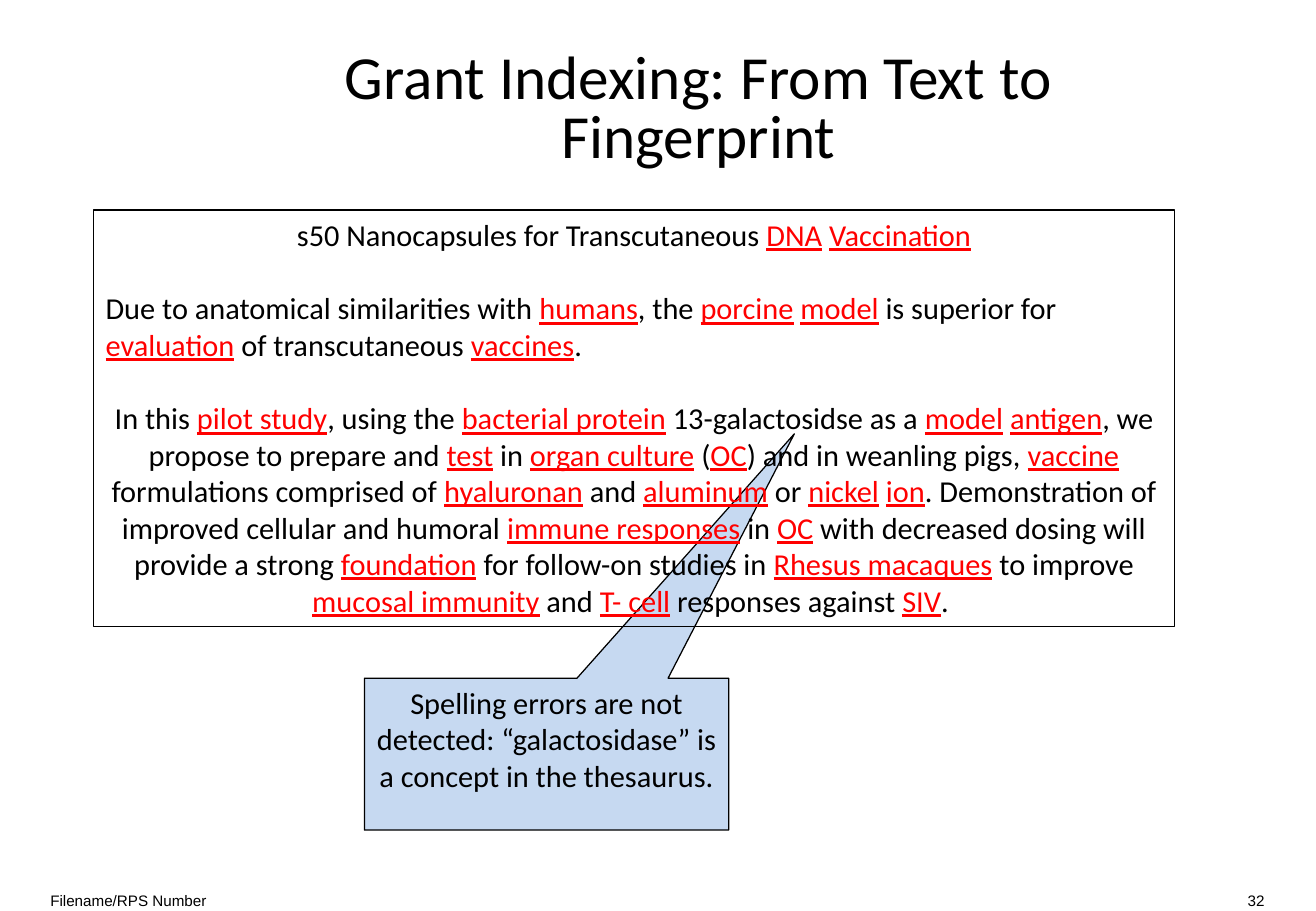
from dataclasses import dataclass

from pptx import Presentation
from pptx.dml.color import RGBColor
from pptx.enum.shapes import MSO_SHAPE as Shape
from pptx.enum.text import MSO_ANCHOR as Anchor, MSO_AUTO_SIZE as AutoSize, PP_ALIGN as Align
from pptx.util import Pt

BLACK, RED, LIGHT_BLUE = "000000", "FF0000", "C6D9F1"
PARAGRAPH_GAP = 22


@dataclass
class Box:
    left: float
    top: float
    width: float
    height: float

    def lengths(self):
        return Pt(self.left), Pt(self.top), Pt(self.width), Pt(self.height)


@dataclass
class Passage:
    text: str  # indexed concepts stand in square brackets
    align: Align = Align.CENTER


@dataclass
class FooterItem:
    text: str
    box: Box
    align: Align


TITLE = "Grant Indexing: From Text to Fingerprint"
ABSTRACT = [
    Passage("s50 Nanocapsules for Transcutaneous [DNA] [Vaccination]"),
    Passage("Due to anatomical similarities with [humans], the [porcine] [model] is "
            "superior for [evaluation] of transcutaneous [vaccines].", Align.LEFT),
    Passage("In this [pilot study], using the [bacterial protein] 13-galactosidse as a "
            "[model] [antigen], we propose to prepare and [test] in [organ culture] ([OC]) "
            "and in weanling pigs, [vaccine] formulations comprised of [hyaluronan] and "
            "[aluminum] or [nickel] [ion]. Demonstration of improved cellular and humoral "
            "[immune responses] in [OC] with decreased dosing will provide a strong "
            "[foundation] for follow-on studies in [Rhesus macaques] to improve "
            "[mucosal immunity] and [T- cell] responses against [SIV]. "),
]
CALLOUT = Passage("Spelling errors are not detected: “galactosidase” is a concept in the thesaurus.")
FOOTER = [
    FooterItem("Filename/RPS Number", Box(29.8, 528.5, 110, 11), Align.LEFT),
    FooterItem("32", Box(719.5, 528.5, 30, 11), Align.RIGHT),
]


def color(value: str) -> RGBColor:
    return RGBColor.from_string(value)


def format_paragraph(paragraph, align: Align, size: float, name: str = "Calibri") -> None:
    paragraph.alignment = align
    paragraph.font.size = Pt(size)
    paragraph.font.name = name
    paragraph.font.color.rgb = color(BLACK)


def add_panel(slide, kind: Shape, box: Box, fill: str | None = None):
    shape = slide.shapes.add_shape(kind, *box.lengths())
    shape.shadow.inherit = False
    if fill:
        shape.fill.solid()
        shape.fill.fore_color.rgb = color(fill)
    else:
        shape.fill.background()
    shape.line.color.rgb = color(BLACK)
    shape.line.width = Pt(0.75)
    shape.text_frame.word_wrap = True
    shape.text_frame.vertical_anchor = Anchor.TOP
    return shape


def write_passages(frame, passages: list[Passage]) -> None:
    for index, passage in enumerate(passages):
        paragraph = frame.add_paragraph() if index else frame.paragraphs[0]
        format_paragraph(paragraph, passage.align, 18)
        paragraph.space_before = Pt(PARAGRAPH_GAP if index else 0)
        # Every second piece is a concept
        pieces = passage.text.replace("]", "[").split("[")
        for position, piece in enumerate(pieces):
            run = paragraph.add_run()
            run.text = piece
            is_concept = position % 2 == 1
            run.font.color.rgb = color(RED if is_concept else BLACK)
            if is_concept:
                run.font.underline = True


def add_title(slide) -> None:
    title = slide.shapes.title
    title.left, title.top, title.width, title.height = Box(144, 24, 540, 84).lengths()
    frame = title.text_frame
    frame.text = TITLE
    frame.auto_size = AutoSize.NONE
    frame.vertical_anchor = Anchor.MIDDLE
    format_paragraph(frame.paragraphs[0], Align.CENTER, 36.3)
    frame.paragraphs[0].line_spacing = 0.8


def add_footer_item(slide, item: FooterItem) -> None:
    frame = slide.shapes.add_textbox(*item.box.lengths()).text_frame
    frame.word_wrap = True
    frame.margin_left = frame.margin_right = frame.margin_top = frame.margin_bottom = 0
    frame.text = item.text
    format_paragraph(frame.paragraphs[0], item.align, 9, "Arial")


def main() -> None:
    presentation = Presentation()
    presentation.slide_width, presentation.slide_height = Pt(780), Pt(540)
    slide = presentation.slides.add_slide(presentation.slide_layouts[5])

    # Title and footer
    add_title(slide)
    for item in FOOTER:
        add_footer_item(slide, item)

    # Callout, behind the abstract so that its pointer does not cover the text
    callout = add_panel(slide, Shape.RECTANGULAR_CALLOUT, Box(216, 402, 216, 90), LIGHT_BLUE)
    callout.adjustments[0], callout.adjustments[1] = 0.68, -2.11
    write_passages(callout.text_frame, [CALLOUT])

    # Abstract with its indexed concepts
    abstract = add_panel(slide, Shape.RECTANGLE, Box(55.5, 124.5, 640.5, 247))
    write_passages(abstract.text_frame, ABSTRACT)

    presentation.save("out.pptx")


if __name__ == "__main__":
    main()
